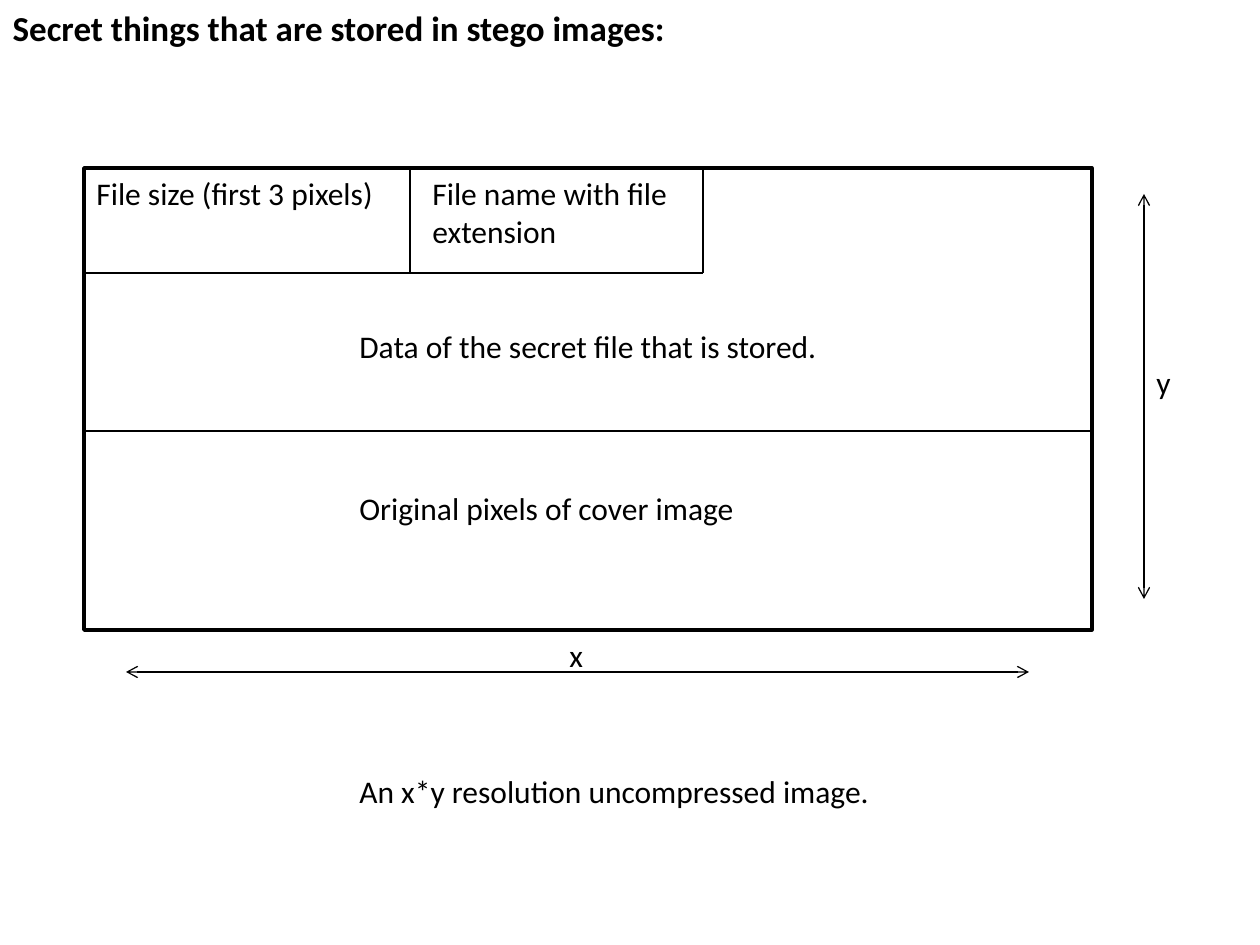
from lxml.etree import SubElement
from pptx import Presentation
from pptx.dml.color import RGBColor
from pptx.enum.shapes import MSO_CONNECTOR, MSO_SHAPE
from pptx.enum.text import MSO_ANCHOR, MSO_AUTO_SIZE, PP_ALIGN
from pptx.oxml.ns import qn
from pptx.util import Emu, Pt

EMU_PER_PX = 914400 / 126
FONT = "Calibri"
BLACK = "000000"
WHITE = "FFFFFF"
LEFT, TOP, RIGHT, BOTTOM = 84, 168, 1092, 630
HEADER_BOTTOM, DATA_BOTTOM = 273, 431
SIZE_END, NAME_END = 410, 703
CAPTION_LEFT = 347

LINES = [
    (LEFT, HEADER_BOTTOM, NAME_END, HEADER_BOTTOM),
    (SIZE_END, TOP, SIZE_END, HEADER_BOTTOM),
    (NAME_END, TOP, NAME_END, HEADER_BOTTOM),
    (LEFT, DATA_BOTTOM, RIGHT, DATA_BOTTOM),
]
DIMENSIONS = [(126, 672, 1029, 672), (1144, 194, 1144, 599)]
LABELS = [
    ("File size (first 3 pixels)", LEFT, TOP, 336, 50),
    ("File name with file extension", 420, TOP, 315, 89),
    ("Data of the secret file that is stored.", CAPTION_LEFT, 321, 525, 50),
    ("Original pixels of cover image", CAPTION_LEFT, 483, 410, 50),
    ("x", 557, BOTTOM, 32, 50),
    ("y", 1144, 357, 32, 50),
    ("An x*y resolution uncompressed image.", CAPTION_LEFT, 766, 546, 50),
]


def px(length):
    return Emu(round(length * EMU_PER_PX))


def color(value):
    return RGBColor.from_string(value)


def write(shape, text, size, bold=False):
    frame = shape.text_frame
    frame.word_wrap = True
    frame.auto_size = MSO_AUTO_SIZE.NONE
    frame.vertical_anchor = MSO_ANCHOR.TOP
    para = frame.paragraphs[0]
    para.alignment = PP_ALIGN.LEFT
    span = para.add_run()
    span.text = text
    span.font.name = FONT
    span.font.size = Pt(size)
    span.font.bold = bold
    span.font.color.rgb = color(BLACK)


def add_title(page, text, left, top, width, height):
    title = page.shapes.title
    title.left, title.top = px(left), px(top)
    title.width, title.height = px(width), px(height)
    write(title, text, 20, bold=True)


def add_label(page, text, left, top, width, height):
    box = page.shapes.add_textbox(px(left), px(top), px(width), px(height))
    write(box, text, 18)


def add_frame(page):
    frame = page.shapes.add_shape(
        MSO_SHAPE.RECTANGLE, px(LEFT), px(TOP), px(RIGHT - LEFT), px(BOTTOM - TOP)
    )
    frame.shadow.inherit = False
    frame.fill.solid()
    frame.fill.fore_color.rgb = color(WHITE)
    frame.line.color.rgb = color(BLACK)
    frame.line.width = Pt(2)


def add_line(page, x1, y1, x2, y2, arrows=False):
    line = page.shapes.add_connector(
        MSO_CONNECTOR.STRAIGHT, px(x1), px(y1), px(x2), px(y2)
    )
    line.line.color.rgb = color(BLACK)
    line.line.width = Pt(0.75)
    properties = line._element.spPr
    if arrows:
        for end in ("a:headEnd", "a:tailEnd"):
            SubElement(properties.find(qn("a:ln")), qn(end), type="arrow")
    SubElement(properties, qn("a:effectLst"))


def main():
    deck = Presentation()
    deck.slide_width, deck.slide_height = px(1260), px(945)
    page = deck.slides.add_slide(deck.slide_layouts[5])
    add_title(page, "Secret things that are stored in stego images:", 0, 0, 987, 97)
    add_frame(page)
    for line in LINES:
        add_line(page, *line)
    for dimension in DIMENSIONS:
        add_line(page, *dimension, arrows=True)
    for label in LABELS:
        add_label(page, *label)
    deck.save("out.pptx")


if __name__ == "__main__":
    main()
